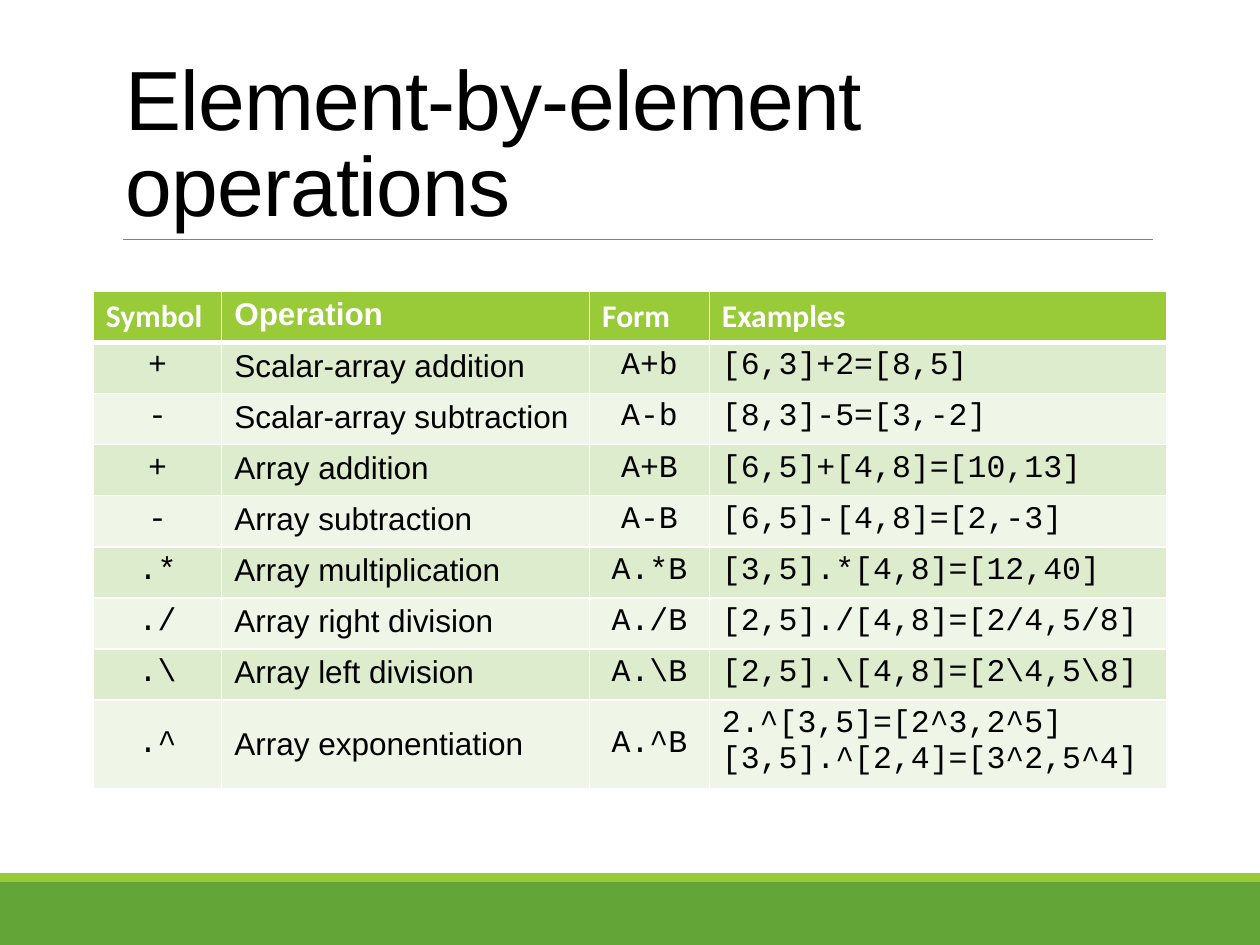
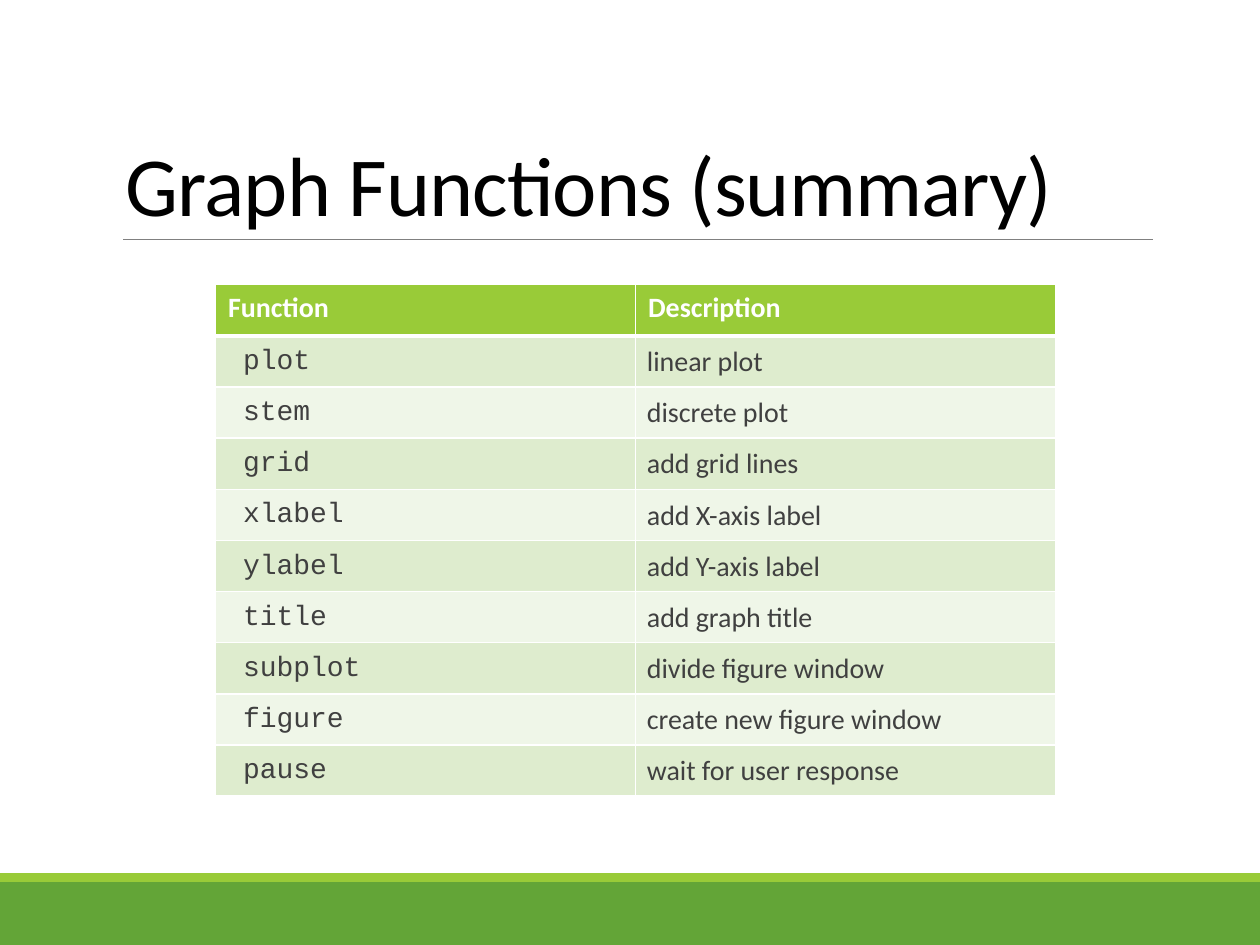
from dataclasses import dataclass

from lxml.etree import SubElement
from pptx import Presentation
from pptx.dml.color import RGBColor
from pptx.enum.shapes import MSO_CONNECTOR as Connector, MSO_SHAPE as Shape
from pptx.enum.text import MSO_ANCHOR as Anchor, PP_ALIGN as Align
from pptx.oxml.ns import qn
from pptx.util import Emu, Pt

SLIDE_COLUMNS, SLIDE_ROWS = 100, 75
UNIT = 91440
TABLE_ROW = 4.06

WHITE, BLACK, CHARCOAL, GRAY = "FFFFFF", "000000", "404040", "808080"
LIME, GREEN = "99CB38", "63A537"
BANDS = ("DEECCE", "EFF6E8")
SANS, PLAIN, MONO = "Arial", "Calibri", "Courier New"


@dataclass
class Column:
    """Describe the heading and the body cells of a table column."""
    heading: str
    width: float
    font: str
    heading_font: str = PLAIN
    align: Align = Align.LEFT
    indent: float = 0.9


OPERATION_COLUMNS = [
    Column("Symbol", 10.2, MONO, align=Align.CENTER),
    Column("Operation", 29.2, SANS, heading_font=SANS),
    Column("Form", 9.5, MONO, align=Align.CENTER),
    Column("Examples", 36.3, MONO),
]
OPERATIONS = [
    ("+", "Scalar-array addition", "A+b", "[6,3]+2=[8,5]"),
    ("-", "Scalar-array subtraction", "A-b", "[8,3]-5=[3,-2]"),
    ("+", "Array addition", "A+B", "[6,5]+[4,8]=[10,13]"),
    ("-", "Array subtraction", "A-B", "[6,5]-[4,8]=[2,-3]"),
    (".*", "Array multiplication", "A.*B", "[3,5].*[4,8]=[12,40]"),
    ("./", "Array right division", "A./B", "[2,5]./[4,8]=[2/4,5/8]"),
    (".\\", "Array left division", "A.\\B", "[2,5].\\[4,8]=[2\\4,5\\8]"),
    (".^", "Array exponentiation", "A.^B",
     "2.^[3,5]=[2^3,2^5]\n[3,5].^[2,4]=[3^2,5^4]"),
]
FUNCTION_COLUMNS = [
    Column("Function", 33.35, MONO, indent=2.2),
    Column("Description", 33.35, PLAIN),
]
FUNCTIONS = [
    ("plot", "linear plot"),
    ("stem", "discrete plot"),
    ("grid", "add grid lines"),
    ("xlabel", "add X-axis label"),
    ("ylabel", "add Y-axis label"),
    ("title", "add graph title"),
    ("subplot", "divide figure window"),
    ("figure", "create new figure window"),
    ("pause", "wait for user response"),
]


def grid(*cells):
    """Turn counts of grid columns or rows into lengths."""
    return [Emu(round(cell * UNIT)) for cell in cells]


def color(value):
    """Turn a hex string into a colour."""
    return RGBColor.from_string(value)


def write_text(frame, text, *, font, size, ink, bold=False, align=Align.LEFT,
               line_spacing=None, tracking=None):
    """Fill a text frame with one paragraph for each line of text."""
    for index, line in enumerate(text.split("\n")):
        para = frame.add_paragraph() if index else frame.paragraphs[0]
        para.alignment = align
        para.line_spacing = line_spacing
        span = para.add_run()
        span.text = line
        span.font.name, span.font.size = font, Pt(size)
        span.font.bold = bold
        span.font.color.rgb = color(ink)
        if tracking:
            span.font._element.set("spc", str(round(tracking * 100)))


def add_band(page, top, height, fill):
    """Draw a plain band across the slide."""
    band = page.shapes.add_shape(Shape.RECTANGLE,
                                 *grid(0, top, SLIDE_COLUMNS, height))
    band.shadow.inherit = False
    band.fill.solid()
    band.fill.fore_color.rgb = color(fill)
    band.line.fill.background()


def add_rule(page, left, right, row):
    """Draw the thin rule below the title."""
    rule = page.shapes.add_connector(Connector.STRAIGHT,
                                     *grid(left, row, right, row))
    rule.line.color.rgb = color(GRAY)
    rule.line.width = Pt(0.5)
    SubElement(rule._element.spPr, qn("a:effectLst"))


def add_title(page, title, font):
    """Add a title that stands on the rule."""
    box = page.shapes.add_textbox(*grid(9, 3.1, 82.5, 15.9))
    frame = box.text_frame
    frame.word_wrap = True
    frame.vertical_anchor = Anchor.BOTTOM
    write_text(frame, title, font=font, size=48, ink=BLACK,
               line_spacing=0.85, tracking=-0.5)


def add_page(deck, title, font):
    """Add a slide with its bands, rule and title."""
    page = deck.slides.add_slide(deck.slide_layouts[6])
    add_band(page, 70, 5, GREEN)
    add_band(page, 69.3, 0.7, LIME)
    add_rule(page, 9.8, 91.5, 19)
    add_title(page, title, font)
    return page


def style_cell(cell, fill, top=1, bottom=1):
    """Give a cell its white borders and its fill."""
    properties = cell._tc.get_or_add_tcPr()
    for side, width in (("L", 1), ("R", 1), ("T", top), ("B", bottom)):
        border = SubElement(properties, qn(f"a:ln{side}"), w=str(Pt(width)))
        paint = SubElement(border, qn("a:solidFill"))
        SubElement(paint, qn("a:srgbClr"), val=WHITE)
    cell.fill.solid()
    cell.fill.fore_color.rgb = color(fill)


def add_table(page, left, top, columns, records, *, size, ink,
              tight=False):
    """Add a table with a lime heading row and banded body rows."""
    width = sum(column.width for column in columns)
    height = TABLE_ROW * (len(records) + 1)
    table = page.shapes.add_table(len(records) + 1, len(columns),
                                  *grid(left, top, width, height)).table
    for row in table.rows:
        row.height = grid(TABLE_ROW)[0]
    for number, column in enumerate(columns):
        table.columns[number].width = grid(column.width)[0]
        heading = table.cell(0, number)
        style_cell(heading, LIME, bottom=3)
        write_text(heading.text_frame, column.heading,
                   font=column.heading_font, size=size, ink=WHITE, bold=True)
        for index, record in enumerate(records):
            cell = table.cell(index + 1, number)
            style_cell(cell, BANDS[index % 2], top=1 if index else 3)
            write_text(cell.text_frame, record[number], font=column.font,
                       size=size, ink=ink, align=column.align)
            if tight:
                (cell.margin_left, cell.margin_top, cell.margin_right,
                 cell.margin_bottom) = grid(column.indent, 0.1, 0.1, 0)
                cell.vertical_anchor = Anchor.MIDDLE
    return table


def main():
    """Build both slides and save the deck."""
    deck = Presentation()
    deck.slide_width, deck.slide_height = grid(SLIDE_COLUMNS, SLIDE_ROWS)

    page = add_page(deck, "Element-by-element operations", SANS)
    table = add_table(page, 7.4, 23.1, OPERATION_COLUMNS, OPERATIONS,
                      size=18, ink=BLACK)
    for number in range(3):
        table.cell(len(OPERATIONS), number).vertical_anchor = Anchor.MIDDLE

    page = add_page(deck, "Graph Functions (summary)", PLAIN)
    add_table(page, 17.1, 22.6, FUNCTION_COLUMNS, FUNCTIONS,
              size=16, ink=CHARCOAL, tight=True)

    deck.save("out.pptx")


if __name__ == "__main__":
    main()
